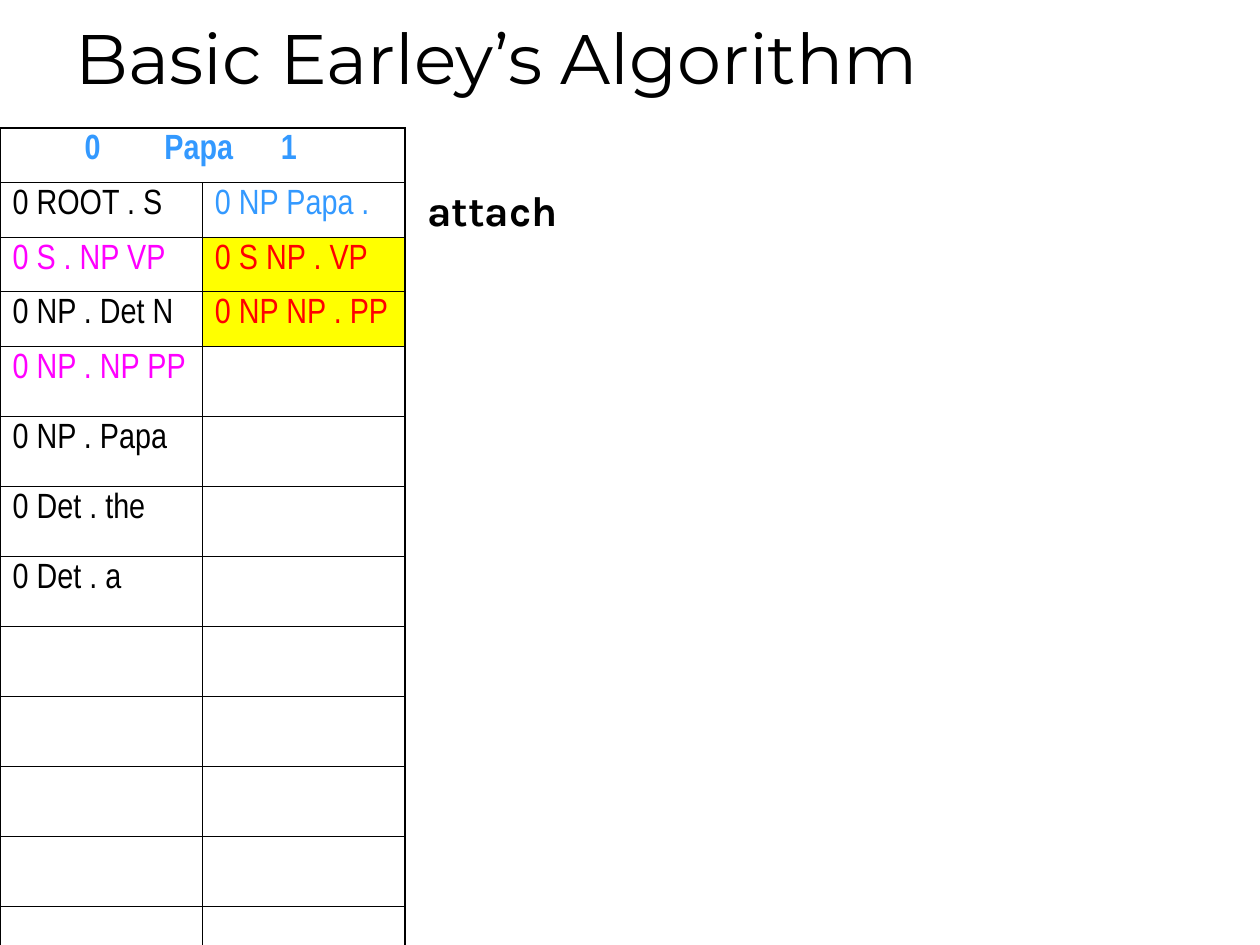
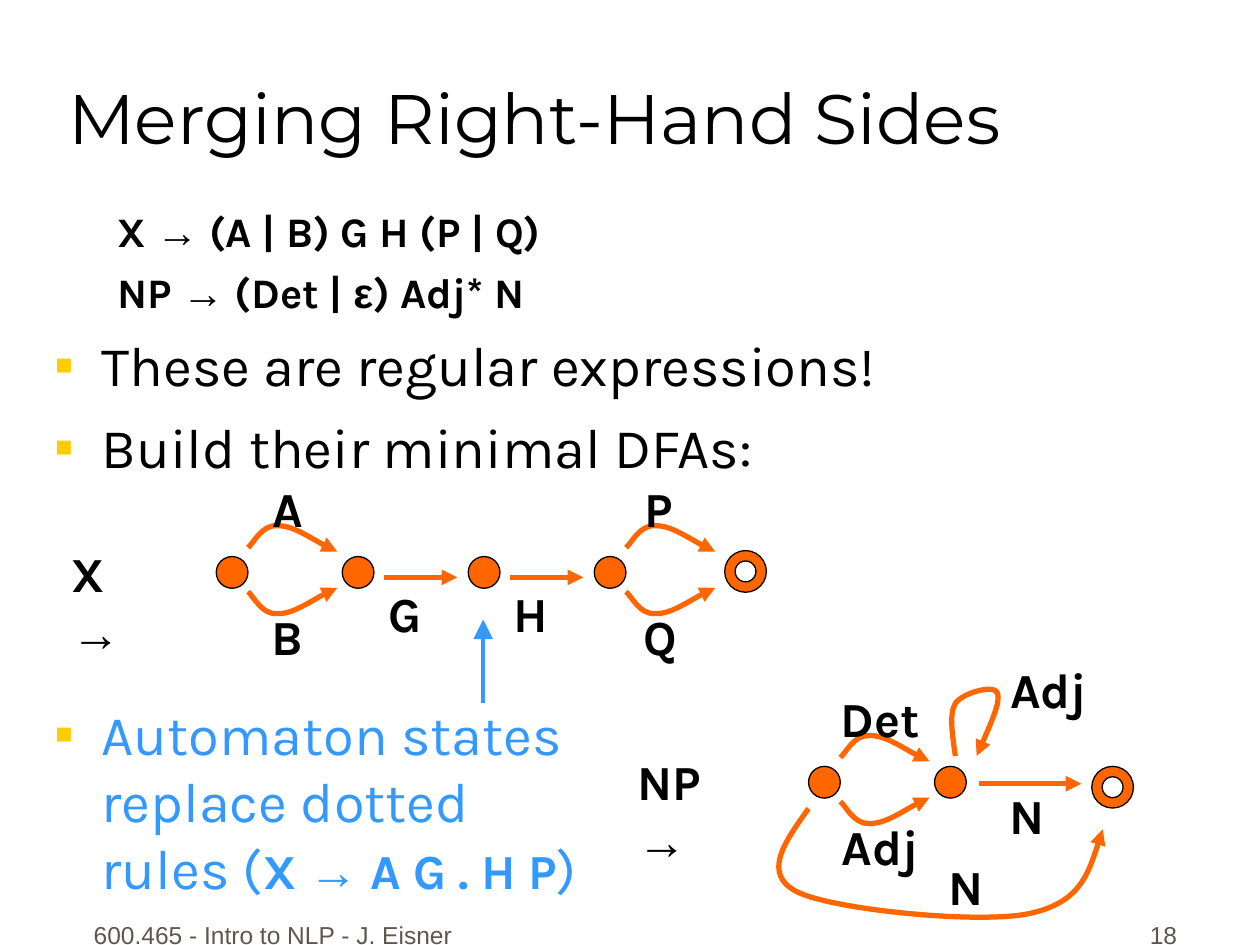
"""Build two parsing slides: an Earley chart and the automata for merged rules."""
from dataclasses import dataclass
from typing import NamedTuple, Sequence

from lxml.etree import SubElement
from pptx import Presentation
from pptx.dml.color import RGBColor
from pptx.enum.shapes import MSO_CONNECTOR as Connector
from pptx.enum.shapes import MSO_SHAPE as Preset
from pptx.enum.text import MSO_ANCHOR as Anchor
from pptx.enum.text import MSO_AUTO_SIZE as AutoSize
from pptx.enum.text import PP_ALIGN as Align
from pptx.oxml.ns import qn
from pptx.util import Cm, Pt


@dataclass(frozen=True)
class Theme:
    black: str = "000000"
    blue: str = "3399FF"
    pink: str = "FF00FF"
    red: str = "FF0000"
    yellow: str = "FFFF00"
    orange: str = "FF6600"
    gold: str = "FFCC00"
    grey: str = "5E574E"
    title_font: str = "Montserrat"
    body_font: str = "Karla"
    chart_font: str = "Arial Narrow"
    plain_font: str = "Arial"
    title_size: int = 40
    body_size: int = 32
    label_size: int = 28
    rule_size: int = 24
    chart_size: int = 20
    footer_size: int = 14
    inner_border: float = 0.45
    outer_border: float = 1.08


THEME = Theme()
Point = tuple[float, float]


class Box(NamedTuple):
    left: float
    top: float
    width: float
    height: float

    def lengths(self) -> list[int]:
        return [Cm(value) for value in self]


class Run(NamedTuple):
    text: str
    size: int = THEME.label_size
    color: str = THEME.black
    bold: bool = True
    font: str = THEME.body_font


class Label(NamedTuple):
    text: str
    center: float
    top: float
    width: float = 1.2


class Arrow(NamedTuple):
    start: Point
    end: Point
    color: str = THEME.orange
    weight: float = 3
    head: str = "med"


class Item(NamedTuple):
    text: str = ""
    color: str = THEME.black


LABEL_HEIGHT = 1.45
NODE_SIZE, FINAL_SIZE, NODE_GAP = 0.64, 0.84, 2.54
X_NODE, NP_NODE = (4.36, 11.22), (16.3, 15.45)
UPPER_ARC = [(0.64, -0.18), (0.74, -0.25), (0.91, -0.64), (1.22, -0.62),
             (1.52, -0.64), (2.18, -0.2), (2.44, -0.1)]
LOWER_ARC = [(x, 0.53 - y) for x, y in UPPER_ARC]
ADJ_LOOP = [(19.26, 15.24), (19.2, 14.82), (19.13, 14.39), (19.26, 14.18), (19.4, 13.97),
            (20.04, 13.79), (20.11, 13.97), (20.17, 14.15), (19.93, 14.69), (19.69, 15.24)]
N_SWEEP = [(16.3, 16.3), (15.82, 16.97), (15.34, 17.63), (16.09, 17.99), (16.83, 18.34),
           (19.7, 18.63), (20.74, 18.42), (21.77, 18.2), (22, 17.46), (22.23, 16.72)]
LABELS = [
    Label("A", 5.8, 9.53), Label("B", 5.8, 12.11),
    Label("P", 13.28, 9.53), Label("Q", 13.31, 12.11),
    Label("G", 8.17, 11.63), Label("H", 10.71, 11.63),
    Label("Det", 17.74, 13.76, 2.24), Label("Adj", 17.75, 16.33, 2.11),
    Label("Adj", 21.14, 13.17, 2.11), Label("N", 20.7, 15.71), Label("N", 19.47, 17.15),
]
ARROWS = [
    Arrow((7.75, 11.64), (9.22, 11.64)),
    Arrow((10.29, 11.64), (11.76, 11.64)),
    Arrow((19.73, 15.8), (21.8, 15.8)),
    Arrow((9.74, 14.18), (9.74, 12.49), THEME.blue, 2.25, "lg"),
]
CHART_ROWS, CHART_TOP, ROW_HEIGHT, COLUMN_WIDTH = 15, 2.58, 1.1, 4.08
HIGHLIGHTED_ROWS = (2, 3)
HEADER_TABS = (1.45, 3.06, 5.41)
COLUMNS = [
    [Item("0 ROOT . S"), Item("0 S . NP VP", THEME.pink), Item("0 NP . Det N"),
     Item("0 NP . NP PP", THEME.pink), Item("0 NP . Papa"), Item("0 Det . the"),
     Item("0 Det . a")],
    [Item("0 NP Papa .", THEME.blue), Item("0 S NP . VP", THEME.red),
     Item("0 NP NP . PP", THEME.red)],
]


def color_of(value: str) -> RGBColor:
    return RGBColor.from_string(value)


def add_runs(paragraph, runs: Sequence[Run]) -> None:
    for item in runs:
        for index, line in enumerate(item.text.split("\n")):
            if index:
                paragraph.add_line_break()
            run = paragraph.add_run()
            run.text = line
            run.font.name, run.font.size = item.font, Pt(item.size)
            run.font.bold, run.font.color.rgb = item.bold, color_of(item.color)


def indent(paragraph, margin: float, first: float, bullet: str = "") -> None:
    properties = paragraph._p.get_or_add_pPr()
    properties.set("marL", str(Cm(margin)))
    properties.set("indent", str(Cm(first)))
    if bullet:
        holder = SubElement(properties, qn("a:buClr"))
        SubElement(holder, qn("a:srgbClr"), val=THEME.gold)
        SubElement(properties, qn("a:buFont"), typeface=THEME.plain_font)
        SubElement(properties, qn("a:buChar"), char=bullet)


def add_text(slide, box: Box, runs: Sequence[Run], align=Align.LEFT,
             anchor=Anchor.TOP, wrap: bool = True):
    frame = slide.shapes.add_textbox(*box.lengths()).text_frame
    frame.word_wrap, frame.vertical_anchor = wrap, anchor
    frame.paragraphs[0].alignment = align
    add_runs(frame.paragraphs[0], runs)
    return frame


def add_title_slide(presentation, text: str, box: Box):
    slide = presentation.slides.add_slide(presentation.slide_layouts[5])
    title = slide.shapes.title
    title.left, title.top, title.width, title.height = box.lengths()
    frame = title.text_frame
    frame.auto_size, frame.vertical_anchor = AutoSize.NONE, Anchor.BOTTOM
    frame.paragraphs[0].alignment = Align.LEFT
    add_runs(frame.paragraphs[0],
             [Run(text, THEME.title_size, bold=False, font=THEME.title_font)])
    return slide


def add_filled(slide, preset: Preset, box: Box, color: str):
    shape = slide.shapes.add_shape(preset, *box.lengths())
    shape.shadow.inherit = False
    shape.fill.solid()
    shape.fill.fore_color.rgb = color_of(color)
    shape.line.fill.background()
    return shape


def set_borders(cell, widths: dict[str, float]) -> None:
    properties = cell._tc.get_or_add_tcPr()
    for side, width in widths.items():
        line = SubElement(properties, qn(f"a:ln{side}"), w=str(Pt(width)))
        fill = SubElement(line, qn("a:solidFill"))
        SubElement(fill, qn("a:srgbClr"), val=THEME.black)
    cell.fill.background()


def fill_cell(cell, item: Item) -> None:
    paragraph = cell.text_frame.paragraphs[0]
    if item.text:
        add_runs(paragraph, [Run(item.text, THEME.chart_size, item.color, False,
                                 THEME.chart_font)])
    else:
        ending = SubElement(paragraph._p, qn("a:endParaRPr"), sz=str(THEME.label_size * 100))
        SubElement(ending, qn("a:latin"), typeface=THEME.body_font)


def add_earley_chart(slide) -> None:
    for row in HIGHLIGHTED_ROWS:
        add_filled(slide, Preset.RECTANGLE, Box(
            COLUMN_WIDTH, CHART_TOP + row * ROW_HEIGHT, COLUMN_WIDTH, ROW_HEIGHT), THEME.yellow)
    box = Box(0, CHART_TOP, COLUMN_WIDTH * len(COLUMNS), ROW_HEIGHT * CHART_ROWS)
    table = slide.shapes.add_table(CHART_ROWS, len(COLUMNS), *box.lengths()).table
    table.first_row = table.horz_banding = False
    inner, outer = THEME.inner_border, THEME.outer_border
    for row in range(CHART_ROWS):
        for column, items in enumerate(COLUMNS):
            cell = table.cell(row, column)
            set_borders(cell, {
                "L": inner if column else outer,
                "R": outer if column or row == 0 else inner,
                "T": inner if row else outer,
                "B": outer if row == CHART_ROWS - 1 else inner,
            })
            if row:
                fill_cell(cell, items[row - 1] if row <= len(items) else Item())
    header = table.cell(0, 0)
    header.merge(table.cell(0, 1))
    paragraph = header.text_frame.paragraphs[0]
    tabs = SubElement(paragraph._p.get_or_add_pPr(), qn("a:tabLst"))
    for position in HEADER_TABS:
        SubElement(tabs, qn("a:tab"), pos=str(Cm(position)), algn="l")
    add_runs(paragraph, [Run("\t0\tPapa\t1", THEME.chart_size, THEME.blue,
                             font=THEME.chart_font)])


def add_state(slide, left: float, top: float, final: bool = False) -> None:
    size = FINAL_SIZE if final else NODE_SIZE
    preset = Preset.DONUT if final else Preset.OVAL
    shape = add_filled(slide, preset, Box(left, top, size, size), THEME.orange)
    shape.line.color.rgb, shape.line.width = color_of(THEME.black), Pt(0.75)


def style_arrow(shape, color: str, weight: float, head: str = "med") -> None:
    shape.line.color.rgb, shape.line.width = color_of(color), Pt(weight)
    SubElement(shape._element.spPr.find(qn("a:ln")), qn("a:tailEnd"),
               type="triangle", w=head, len=head)


def add_arrow(slide, arrow: Arrow) -> None:
    ends = [Cm(value) for value in arrow.start + arrow.end]
    connector = slide.shapes.add_connector(Connector.STRAIGHT, *ends)
    style_arrow(connector, arrow.color, arrow.weight, arrow.head)
    SubElement(connector._element.spPr, qn("a:effectLst"))


def add_curve(slide, points: Sequence[Point], origin: Point = (0, 0)) -> None:
    start, *others = [(Cm(origin[0] + x), Cm(origin[1] + y)) for x, y in points]
    builder = slide.shapes.build_freeform(*start)
    builder.add_line_segments(others, close=False)
    shape = builder.convert_to_shape()
    shape.shadow.inherit = False
    shape.fill.background()
    outline = shape._element.find(".//" + qn("a:path"))
    segments = outline.findall(qn("a:lnTo"))
    for first in range(0, len(segments), 3):
        curve = SubElement(outline, qn("a:cubicBezTo"))
        for segment in segments[first:first + 3]:
            curve.append(segment[0])
            outline.remove(segment)
    style_arrow(shape, THEME.orange, 3)


def add_rules(slide) -> None:
    arrow = Run("→", THEME.rule_size, font=THEME.plain_font)
    epsilon = arrow._replace(text="ε")
    rules = [
        [Run("X ", THEME.rule_size), arrow, Run(" (A | B) G H (P | Q)", THEME.rule_size)],
        [Run("NP ", THEME.rule_size), arrow, Run(" (Det | ", THEME.rule_size), epsilon,
         Run(") Adj* N", THEME.rule_size)],
    ]
    frame = add_text(slide, Box(0.84, 4.02, 24.13, 12.9), rules[0])
    indent(frame.paragraphs[0], 2.06, -0.79)
    paragraph = frame.add_paragraph()
    indent(paragraph, 2.06, -0.79)
    paragraph.space_before = Pt(6)
    add_runs(paragraph, rules[1])
    for text in ("These are regular expressions!", "Build their minimal DFAs:"):
        paragraph = frame.add_paragraph()
        indent(paragraph, 0.96, -0.96, "▪")
        paragraph.space_before = Pt(8)
        add_runs(paragraph, [Run(text, THEME.body_size, bold=False)])


def add_automata(slide) -> None:
    for (left, top), count in ((X_NODE, 4), (NP_NODE, 2)):
        for step in range(count):
            add_state(slide, left + step * NODE_GAP, top)
    for left, top in ((14.61, 11.1), (22.01, 15.45)):
        add_state(slide, left, top, final=True)
    for node in (X_NODE, (X_NODE[0] + 3 * NODE_GAP, X_NODE[1]), NP_NODE):
        for arc in (LOWER_ARC, UPPER_ARC):
            add_curve(slide, arc, node)
    for points in (ADJ_LOOP, N_SWEEP):
        add_curve(slide, points)
    for arrow in ARROWS:
        add_arrow(slide, arrow)
    for label in LABELS:
        box = Box(label.center - label.width / 2, label.top, label.width, LABEL_HEIGHT)
        add_text(slide, box, [Run(label.text)], Align.CENTER, wrap=False)
    for name, box in (("X ", Box(1.19, 10.84, 2, 2.9)), ("NP ", Box(12.6, 15.02, 2.6, 2.9))):
        add_text(slide, box, [Run(name), Run("→", font=THEME.plain_font)])


def main() -> None:
    presentation = Presentation()
    presentation.slide_width, presentation.slide_height = Cm(25.4), Cm(19.05)
    earley = add_title_slide(presentation, "Basic Earley’s Algorithm",
                             Box(1.27, -1.07, 21.59, 3.18))
    add_earley_chart(earley)
    add_text(earley, Box(8.36, 3.6, 3.25, 1.27), [Run("attach", THEME.rule_size)], wrap=False)
    merging = add_title_slide(presentation, "Merging Right-Hand Sides",
                              Box(1.12, 0.15, 21.59, 3.18))
    add_rules(merging)
    add_automata(merging)
    blue = Run("", color=THEME.blue)
    plain = Run("", THEME.body_size, THEME.blue, False)
    states = add_text(merging, Box(0.84, 13.97, 14.17, 5.72), [
        plain._replace(text="Automaton states\nreplace dotted\nrules ("),
        blue._replace(text="X "), blue._replace(text="→", font=THEME.plain_font),
        blue._replace(text=" A G . H P"), plain._replace(text=")")])
    indent(states.paragraphs[0], 0.96, -0.96, "▪")
    for text, box, align in (
            ("600.465 - Intro to NLP - J. Eisner", Box(1.48, 17.99, 8.05, 1.27), Align.CENTER),
            ("18", Box(18.7, 17.99, 5.28, 1.27), Align.RIGHT)):
        add_text(merging, box, [Run(text, THEME.footer_size, THEME.grey, False,
                                    THEME.plain_font)], align, Anchor.BOTTOM)
    presentation.save("out.pptx")


if __name__ == "__main__":
    main()
